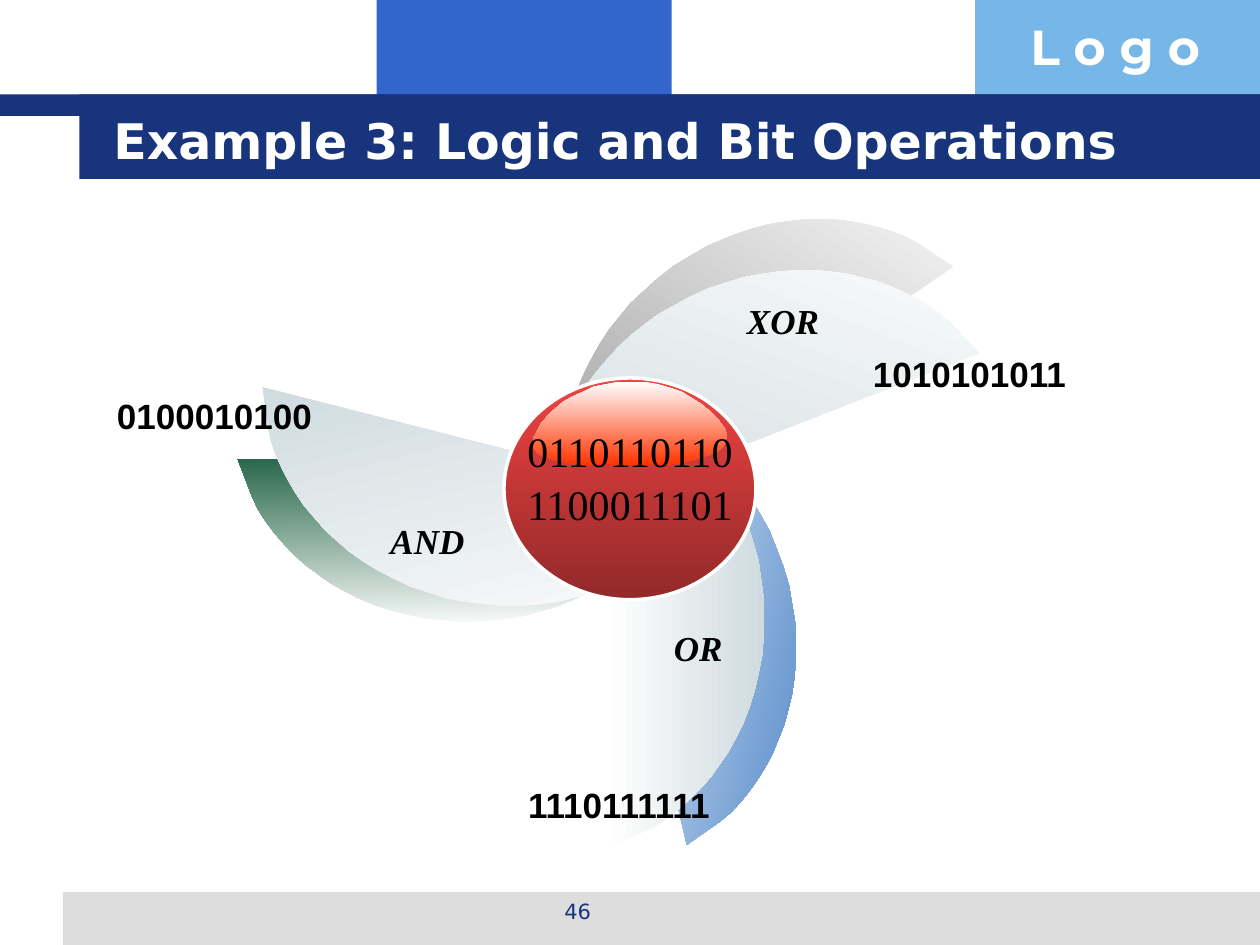
import pptx
import pptx.util
import pptx.dml.color
import pptx.enum.shapes
import pptx.enum.text

PX = 9144  # one px is a hundredth of an inch
ALIGN = pptx.enum.text.PP_ALIGN
ANCHOR = pptx.enum.text.MSO_ANCHOR
AUTO = pptx.enum.text.MSO_AUTO_SIZE
SHAPE = pptx.enum.shapes.MSO_SHAPE


class Theme:
    navy, blue, sky, grey = "17347D", "3366CC", "77B7E7", "DDDDDD"
    white, black = "FFFFFF", "000000"
    blade_pale, blade_blue, blade_green, blade_grey = "CFDBDF", "447EC4", "2A684C", "969696"
    hub_top, hub_bottom, gloss = "F14343", "922929", "FF3300"
    logo = dict(name="Montserrat", size=28, bold=True, color=white)
    title = dict(name="DejaVu Sans", size=28, bold=True, color=white)
    number = dict(name="DejaVu Sans", size=12, color=navy)
    operands = dict(name="Times New Roman", size=24, color=black)
    operator = dict(name="Times New Roman", size=20, bold=True, italic=True, color=black)
    result = dict(name="Arial", size=20, bold=True, color=black)


# Half-moon outline shared by all blades, and the gloss on the hub
BLADE = [
    (0, 0), (9, 2), (19, 6), (28, 10), (38, 15), (47, 21), (56, 28), (64, 36),
    (73, 44), (81, 53), (89, 63), (96, 74), (102, 85), (108, 97), (113, 109),
    (117, 122), (121, 136), (123, 150), (125, 165), (126, 181), (125, 197),
    (124, 211), (121, 226), (118, 239), (114, 252), (109, 265), (103, 277),
    (97, 288), (90, 298), (83, 308), (75, 317), (67, 325), (58, 333), (49, 340),
    (40, 346), (30, 351), (20, 355), (10, 359), (0, 363)]
GLOSS = [
    (152, 37), (154, 41), (154, 45), (153, 48), (151, 51), (148, 54), (145, 56),
    (140, 58), (134, 60), (127, 62), (120, 64), (113, 65), (104, 66), (55, 66),
    (48, 66), (40, 66), (34, 65), (27, 64), (21, 63), (16, 62), (12, 60), (8, 59),
    (4, 57), (2, 54), (0, 52), (0, 45), (2, 42), (6, 34), (11, 28), (17, 22),
    (24, 16), (31, 12), (40, 8), (48, 4), (58, 2), (68, 0), (88, 0), (99, 2),
    (109, 5), (118, 8), (126, 13), (134, 18), (141, 24), (147, 30)]


def rgb(value):
    return pptx.dml.color.RGBColor.from_string(value)


def place(shape, box):
    for side, length in zip(("left", "top", "width", "height"), box):
        setattr(shape, side, length * PX)


def write(shape, text, style, align=ALIGN.LEFT, **frame_values):
    frame = shape.text_frame
    values = dict(word_wrap=True, auto_size=AUTO.NONE, vertical_anchor=ANCHOR.TOP)
    for key, value in {**values, **frame_values}.items():
        setattr(frame, key, value)
    para = frame.paragraphs[0]
    para.alignment = align
    span = para.add_run()
    span.text = text
    for key, value in style.items():
        if key == "color":
            span.font.color.rgb = rgb(value)
        else:
            setattr(span.font, key, pptx.util.Pt(value) if key == "size" else value)


def add_text(page, box, text, style, **options):
    write(page.shapes.add_textbox(*(length * PX for length in box)), text, style, **options)


def add_shape(page, kind, box, color=None):
    shape = page.shapes.add_shape(kind, *(length * PX for length in box))
    shape.shadow.inherit = False
    shape.line.fill.background()
    if color:
        shape.fill.solid()
        shape.fill.fore_color.rgb = rgb(color)
    return shape


def add_outline(page, left, top, points):
    builder = page.shapes.build_freeform(*points[0], scale=PX)
    builder.add_line_segments(points[1:], close=True)
    shape = builder.convert_to_shape(left * PX, top * PX)
    shape.shadow.inherit = False
    shape.line.fill.background()
    return shape


def shade(shape, first, last, angle):
    """Linear gradient whose clockwise angle stays fixed to the page."""
    shape.fill.gradient()
    shape.fill.gradient_angle = (360 - angle) % 360
    for stop, position, color in zip(shape.fill.gradient_stops, (0, 1), (first, last)):
        stop.position = position
        stop.color.rgb = rgb(color)
    shape._element.spPr.find(pptx.oxml.ns.qn("a:gradFill")).set("rotWithShape", "0")


def build_frame(page):
    """Header blocks, title bands and footer bar."""
    for box, color in [
        ((299, 0, 234, 92), Theme.blue),
        ((774, 0, 226, 92), Theme.sky),
        ((50, 708, 950, 42), Theme.grey),
        ((0, 75, 1000, 17), Theme.navy),
        ((63, 75, 937, 67), Theme.navy),
    ]:
        add_shape(page, SHAPE.RECTANGLE, box, color)
    add_text(page, (808, 8, 193, 57), "L o g o", Theme.logo)
    add_text(page, (342, 708, 233, 35), "46", Theme.number, align=ALIGN.CENTER)


def build_title(page, box, text):
    title = page.shapes.title
    place(title, box)
    write(title, text, Theme.title, vertical_anchor=ANCHOR.MIDDLE)
    page.shapes._spTree.append(title._element)  # in front of the bands


def build_blades(page):
    """Coloured back blades, then pale front blades."""
    for left, top, turn, color, angle in [
        (502, 298, 346.8, Theme.blade_blue, 13),
        (306, 249, 91, Theme.blade_green, 269),
        (508, 81, 235.5, Theme.blade_grey, 124),
        (481, 309, 0, Theme.blade_pale, 0),
        (306, 232, 104.3, Theme.blade_pale, 256),
        (522, 106, 248.7, Theme.blade_pale, 111),
    ]:
        blade = add_outline(page, left, top, BLADE)
        blade.rotation = turn
        shade(blade, Theme.white, color, angle)


def build_hub(page, box, operands):
    """Glossy ball with the two operands across it."""
    left, top, width, height = box
    ball = add_shape(page, SHAPE.OVAL, box)
    shade(ball, Theme.hub_top, Theme.hub_bottom, 90)
    ball.line.color.rgb = rgb(Theme.white)
    ball.line.width = pptx.util.Pt(2)
    shade(add_outline(page, left + 23, top + 3, GLOSS), Theme.white, Theme.gloss, 90)
    for row, operand in enumerate(operands):
        add_text(page, (left, top + 33 + 42 * row, width, 50), operand,
                 Theme.operands, align=ALIGN.CENTER)


def build_labels(page):
    """Operator name on each blade and its result at the tip."""
    for name, name_at, result, result_at, align in [
        ("AND", (300, 407), "0100010100", (83, 308), ALIGN.LEFT),
        ("OR", (525, 492), "1110111111", (398, 617), ALIGN.RIGHT),
        ("XOR", (583, 233), "1010101011", (683, 275), ALIGN.LEFT),
    ]:
        add_text(page, (*name_at, 92, 44), name, Theme.operator)
        add_text(page, (*result_at, 175, 44), result, Theme.result,
                 align=align, word_wrap=False)


def main():
    deck = pptx.Presentation()
    deck.slide_width, deck.slide_height = 1000 * PX, 750 * PX
    page = deck.slides.add_slide(deck.slide_layouts[5])
    build_frame(page)
    build_title(page, (80, 80, 853, 62), "Example 3: Logic and Bit Operations")
    build_blades(page)
    build_hub(page, (400, 300, 200, 176), ["0110110110", "1100011101"])
    build_labels(page)
    deck.save("out.pptx")


if __name__ == "__main__":
    main()
